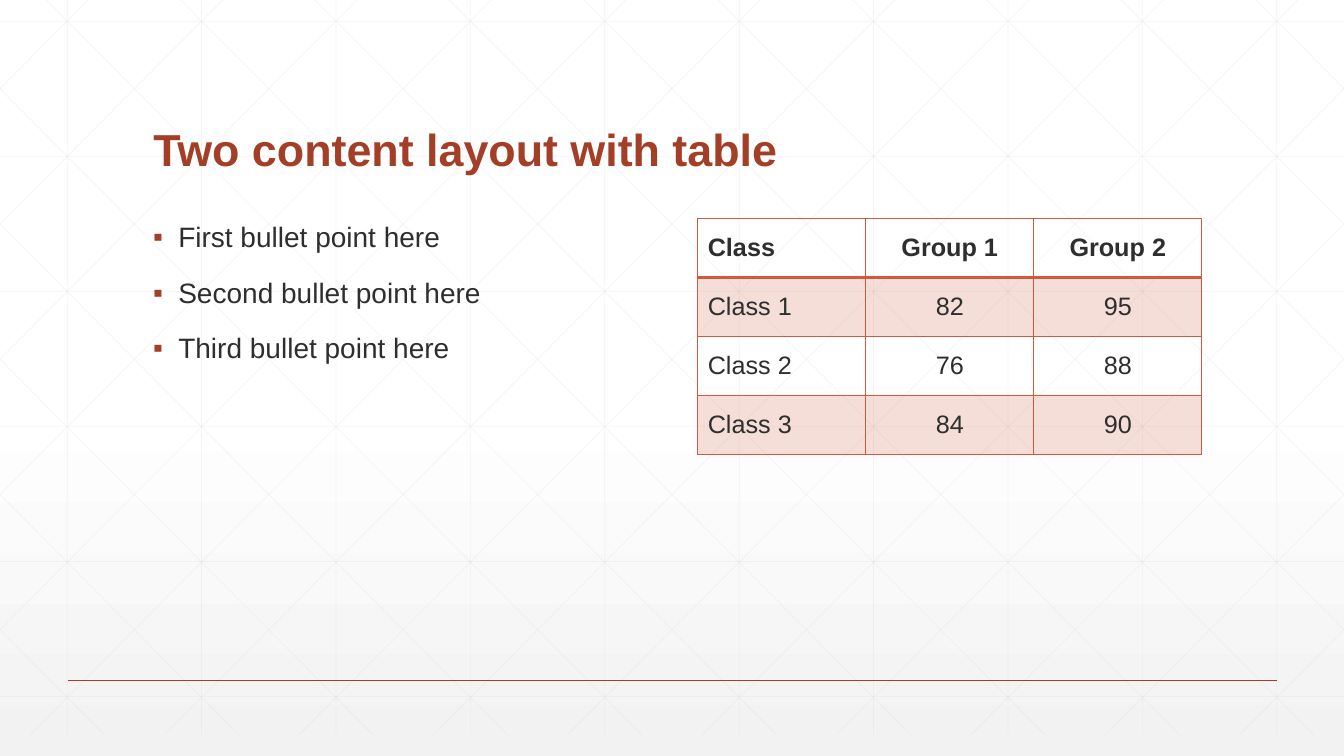
from copy import deepcopy

from lxml import etree
from pptx import Presentation
from pptx.dml.color import RGBColor
from pptx.enum.shapes import MSO_CONNECTOR
from pptx.enum.text import MSO_ANCHOR, PP_ALIGN
from pptx.oxml import parse_xml
from pptx.oxml.ns import nsdecls, qn
from pptx.util import Inches, Pt

STRAIGHT = MSO_CONNECTOR.STRAIGHT
BOTTOM, MIDDLE = MSO_ANCHOR.BOTTOM, MSO_ANCHOR.MIDDLE
LEFT, CENTER = PP_ALIGN.LEFT, PP_ALIGN.CENTER
FONT = "Arial"
RUST, ORANGE, INK, GRID = "A43F27", "D15A3E", "2D2E2D", "D9D9D9"
WIDTH, HEIGHT = 13.33, 7.5


def style_font(font, size, color, bold=False):
    font.name, font.size, font.bold = FONT, Pt(size), bold
    font.color.rgb = RGBColor.from_string(color)


def add_line(shapes, start, end, color, weight, opacity=100):
    """Draw a straight line without shadow; opacity is in percent."""
    line = shapes.add_connector(STRAIGHT, *[Inches(v) for v in (*start, *end)])
    line.line.color.rgb = RGBColor.from_string(color)
    line.line.width = Pt(weight)
    properties = line._element.spPr
    if opacity < 100:
        tint = properties.find(".//" + qn("a:srgbClr"))
        etree.SubElement(tint, qn("a:alpha"), val=str(opacity * 1000))
    etree.SubElement(properties, qn("a:effectLst"))


deck = Presentation()
deck.slide_width, deck.slide_height = Inches(WIDTH), Inches(HEIGHT)
page = deck.slides.add_slide(deck.slide_layouts[5])

# Background gradient, white down to light grey
backdrop = page.background.fill
backdrop.gradient()
backdrop.gradient_angle = 270
first_stop = backdrop.gradient_stops[0]._gs
first_stop.addnext(deepcopy(first_stop))
for stop, (position, color) in zip(
        backdrop.gradient_stops, [(0, "FFFFFF"), (0.53, "FFFFFF"), (1, "F2F2F2")]):
    stop.position = position
    stop.color.rgb = RGBColor.from_string(color)
last_tint = backdrop.gradient_stops[2]._gs.find(qn("a:srgbClr"))
etree.SubElement(last_tint, qn("a:alpha"), val="65000")

# Background grid: verticals, horizontals and mirrored diagonals
TOP, FOOT = -0.21, 7.29
STEP = WIDTH / 10
RUN = 7.45
SLOPE = (FOOT - TOP) / RUN
grid = page.shapes.add_group_shape()
grid_lines = []
for column in range(10):
    x = STEP * (column + 0.5)
    grid_lines.append(((x, TOP), (x, FOOT)))
for row in range(6):
    y = 0.21 + 1.34 * row
    grid_lines.append(((0, y), (WIDTH, y)))
for step in range(-5, 10):
    x = 0.25 + STEP * step
    left, right = max(x, 0), min(x + RUN, WIDTH)
    upper, lower = TOP + (left - x) * SLOPE, TOP + (right - x) * SLOPE
    grid_lines.append(((left, upper), (right, lower)))
    grid_lines.append(((WIDTH - left, upper), (WIDTH - right, lower)))
for start, end in grid_lines:
    add_line(grid.shapes, start, end, GRID, 0.5, 25)

# The grid goes behind the title
title = page.shapes.title
title._element.addprevious(grid._element)
add_line(page.shapes, (0.67, 6.75), (12.67, 6.75), RUST, 1)

# Title
title.left, title.top = Inches(1.42), Inches(0.55)
title.width, title.height = Inches(10.5), Inches(1.25)
title.text_frame.text = "Two content layout with table"
title.text_frame.vertical_anchor = BOTTOM
para = title.text_frame.paragraphs[0]
para.alignment, para.line_spacing = LEFT, 0.9
style_font(para.font, 32, RUST, True)

# Bullet list
bullets = page.shapes.add_textbox(Inches(1.42), Inches(2.17), Inches(5), Inches(4.17))
bullets.text_frame.word_wrap = True
bullets.text_frame.text = "\n".join(
    ["First bullet point here", "Second bullet point here", "Third bullet point here"])
for para in bullets.text_frame.paragraphs:
    para.line_spacing, para.space_before = 0.9, Pt(18)
    style_font(para.font, 20, INK)
    properties = para._p.get_or_add_pPr()
    properties.set("marL", str(Inches(0.25)))
    properties.set("indent", str(Inches(-0.25)))
    marks = parse_xml(
        f'<a:pPr {nsdecls("a")}><a:buClr><a:srgbClr val="{RUST}"/></a:buClr>'
        f'<a:buFont typeface="{FONT}"/><a:buChar char="▪"/></a:pPr>')
    for mark in list(marks):
        properties.find(qn("a:defRPr")).addprevious(mark)

# Table
scores = [
    ("Class", "Group 1", "Group 2"),
    ("Class 1", "82", "95"),
    ("Class 2", "76", "88"),
    ("Class 3", "84", "90"),
]
table = page.shapes.add_table(
    4, 3, Inches(6.92), Inches(2.17), Inches(5), Inches(2.34)).table
table.first_row = table.horz_banding = False
for row, values in enumerate(scores):
    for column, value in enumerate(values):
        cell = table.cell(row, column)
        cell.text = value
        cell.vertical_anchor = MIDDLE
        para = cell.text_frame.paragraphs[0]
        para.alignment = CENTER if column else LEFT
        style_font(para.font, 18, INK, row == 0)
        properties = cell._tc.get_or_add_tcPr()
        for side in "LRTB":
            heavy = (row, side) in [(0, "B"), (1, "T")]
            properties.append(parse_xml(
                f'<a:ln{side} {nsdecls("a")} w="{Pt(2 if heavy else 1)}"><a:solidFill>'
                f'<a:srgbClr val="{ORANGE}"/></a:solidFill></a:ln{side}>'))
        if row % 2:
            cell.fill.solid()
            cell.fill.fore_color.rgb = RGBColor.from_string(ORANGE)
            tint = properties.find(qn("a:solidFill")).find(qn("a:srgbClr"))
            etree.SubElement(tint, qn("a:alpha"), val="20000")
        else:
            cell.fill.background()

deck.save("out.pptx")
